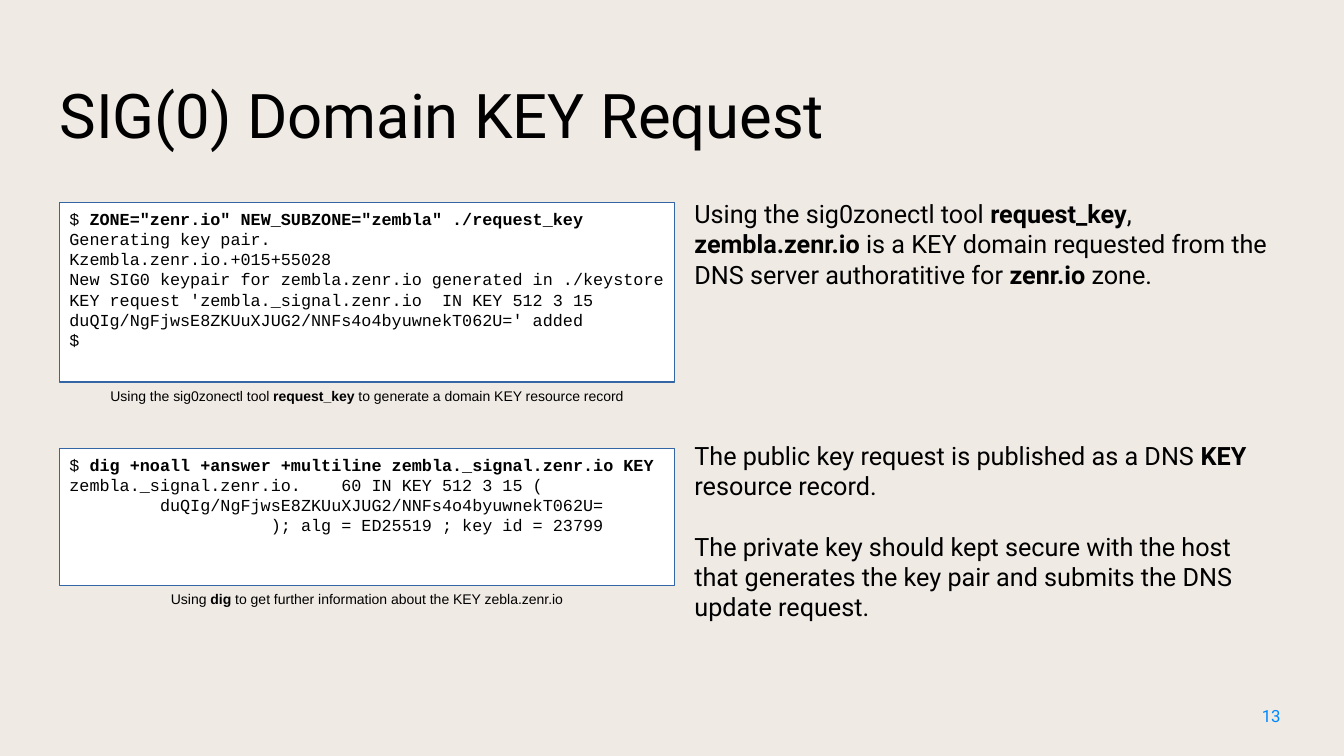
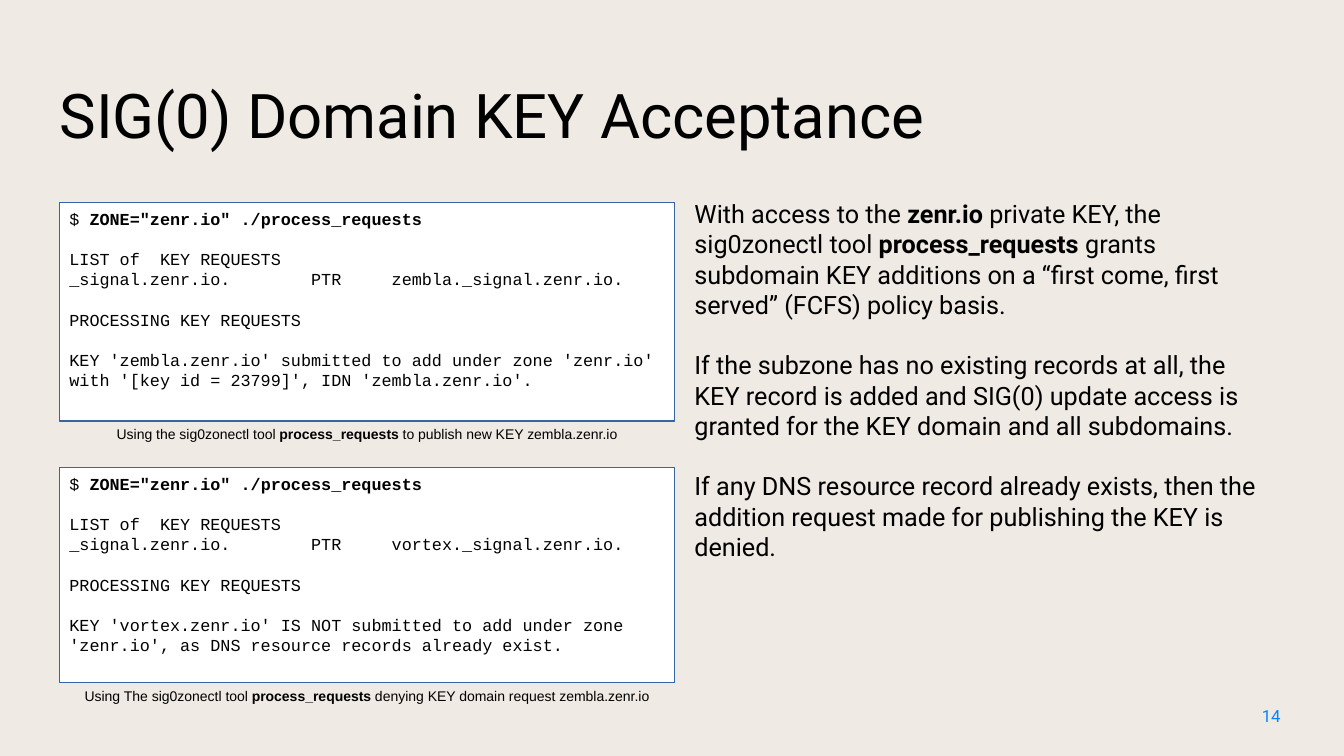
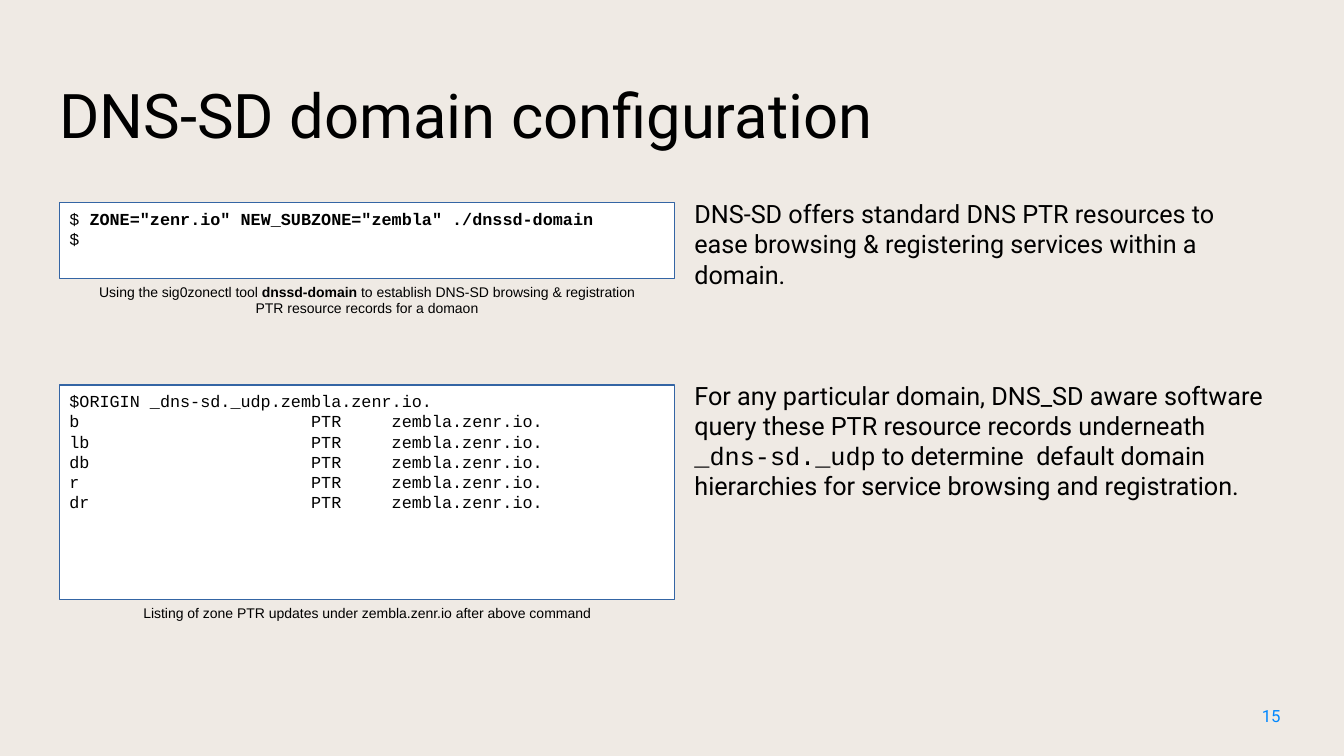
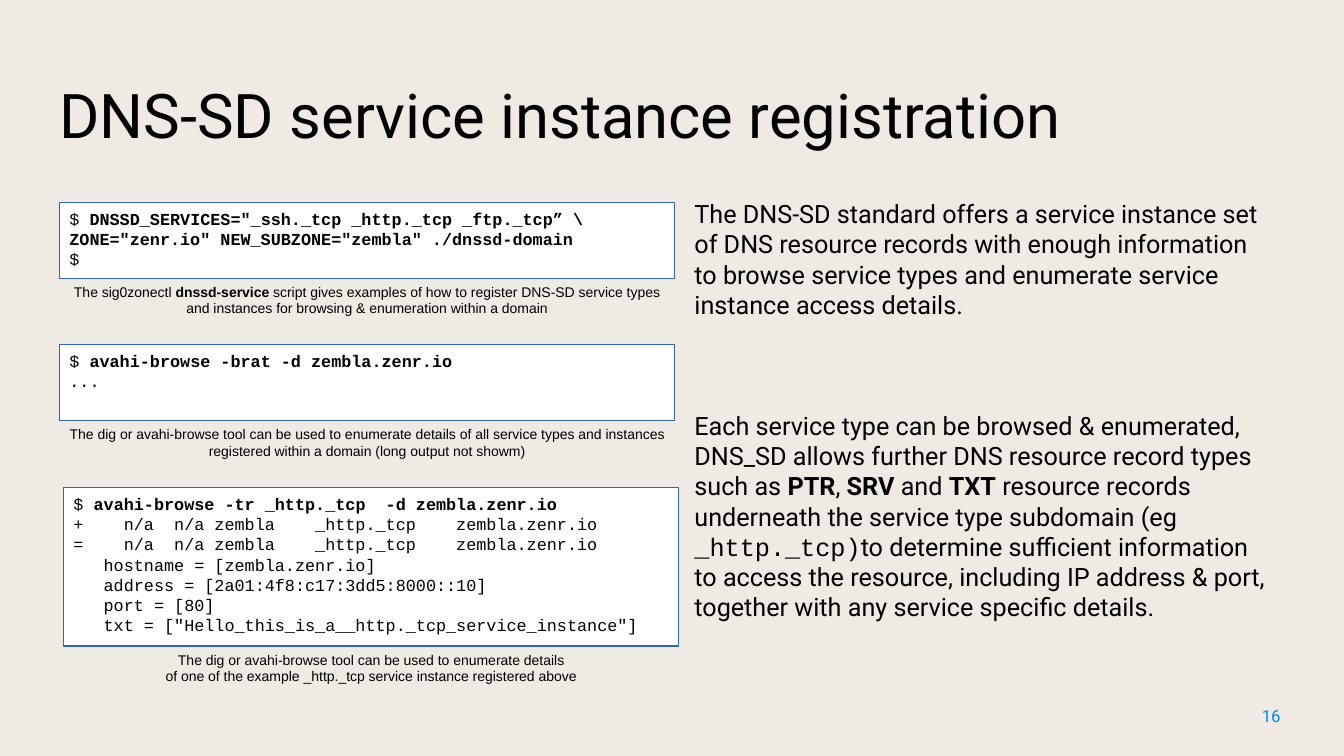
import pptx
import pptx.util
import pptx.dml.color
import pptx.enum.shapes
import pptx.enum.text
import lxml.etree

Pt = pptx.util.Pt
RGB = pptx.dml.color.RGBColor
ALIGN = pptx.enum.text.PP_ALIGN
ANCHOR = pptx.enum.text.MSO_ANCHOR

SAND = RGB(0xEF, 0xEA, 0xE4)
WHITE = RGB(0xFF, 0xFF, 0xFF)
BLACK = RGB(0, 0, 0)
BLUE = RGB(0x34, 0x65, 0xA4)
AZURE = RGB(0x00, 0x87, 0xFF)
MONO = "Courier New"

HEAD = {"name": "Roboto", "size": Pt(44), "color": BLACK}
BODY = {"name": "Roboto", "size": Pt(18), "color": BLACK}
CODE = {"name": MONO, "size": Pt(12), "color": BLACK}
NOTE = {"name": "Arial", "size": Pt(10), "color": BLACK}
PAGE = {"name": "Roboto", "size": Pt(12), "color": AZURE}

HEAD_BOX = (42.5, 28.8, 851, 104.4)
BODY_BOX = (496, 141.8, 412, 338.4)
PAGE_BOX = (894.2, 500.4, 44.6, 28.8)
LEFT, WIDE = 42.5, 439.2
FIRST = 13

SLIDES = [
    {
        "title": "SIG(0) Domain KEY Request",
        "body": "Using the sig0zonectl tool *request_key*, *zembla.zenr.io* is a KEY domain "
                "requested from the DNS server authoratitive for *zenr.io* zone."
                + "\n" * 6 +
                "The public key request is published as a DNS *KEY* resource record.\n\n"
                "The private key should kept secure with the host that generates the key pair "
                "and submits the DNS update request.",
        "panels": [
            (LEFT, 144.7, 128.2, """$ *ZONE="zenr.io" NEW_SUBZONE="zembla" ./request_key*
Generating key pair.
Kzembla.zenr.io.+015+55028
New SIG0 keypair for zembla.zenr.io generated in ./keystore
KEY request 'zembla._signal.zenr.io  IN KEY 512 3 15 duQIg/NgFjwsE8ZKUuXJUG2/NNFs4o4byuwnekT062U=' added
$""", "Using the sig0zonectl tool *request_key* to generate a domain KEY resource record"),
            (LEFT, 320.4, 98, """$ *dig +noall +answer +multiline zembla._signal.zenr.io KEY*
zembla._signal.zenr.io.    60 IN KEY 512 3 15 (
         duQIg/NgFjwsE8ZKUuXJUG2/NNFs4o4byuwnekT062U=
                    ); alg = ED25519 ; key id = 23799""",
             "Using *dig* to get further information about the KEY zebla.zenr.io"),
        ],
    },
    {
        "title": "SIG(0) Domain KEY Acceptance",
        "body": "With access to the *zenr.io* private KEY, the sig0zonectl tool "
                "*process_requests* grants subdomain KEY additions on a “first come, first "
                "served” (FCFS) policy basis.\n\n"
                "If the subzone has no existing records at all, the KEY record is added and "
                "SIG(0) update access is granted for the KEY domain and all subdomains.\n\n"
                "If any DNS resource record already exists, then the addition request made "
                "for publishing the KEY is denied.",
        "panels": [
            (LEFT, 144.7, 156, """$ *ZONE="zenr.io" ./process_requests*

LIST of  KEY REQUESTS
_signal.zenr.io.        PTR     zembla._signal.zenr.io.

PROCESSING KEY REQUESTS

KEY 'zembla.zenr.io' submitted to add under zone 'zenr.io' with '[key id = 23799]', IDN 'zembla.zenr.io'.""",
             "Using the sig0zonectl tool *process_requests* to publish new KEY zembla.zenr.io"),
            (LEFT, 334.1, 153.4, """$ *ZONE="zenr.io" ./process_requests*

LIST of  KEY REQUESTS
_signal.zenr.io.        PTR     vortex._signal.zenr.io.

PROCESSING KEY REQUESTS

KEY 'vortex.zenr.io' IS NOT submitted to add under zone 'zenr.io', as DNS resource records already exist.""",
             "Using The sig0zonectl tool *process_requests* denying KEY domain request zembla.zenr.io"),
        ],
    },
    {
        "title": "DNS-SD domain configuration",
        "body": "DNS-SD offers standard DNS PTR resources to ease browsing & registering "
                "services within a domain."
                + "\n" * 4 +
                "For any particular domain, DNS_SD aware software query these PTR resource "
                "records underneath `_dns-sd._udp` to determine  default domain hierarchies "
                "for service browsing and registration.",
        "panels": [
            (LEFT, 144.7, 54, """$ *ZONE="zenr.io" NEW_SUBZONE="zembla" ./dnssd-domain*
$""", "Using the sig0zonectl tool *dnssd-domain* to establish DNS-SD browsing & registration\v"
             "PTR resource records for a domaon"),
            (LEFT, 275, 153.4, """$ORIGIN _dns-sd._udp.zembla.zenr.io.
b                       PTR     zembla.zenr.io.
lb                      PTR     zembla.zenr.io.
db                      PTR     zembla.zenr.io.
r                       PTR     zembla.zenr.io.
dr                      PTR     zembla.zenr.io.""",
             "Listing of zone PTR updates under zembla.zenr.io after above command"),
        ],
    },
    {
        "title": "DNS-SD service instance registration",
        "body": "The DNS-SD standard offers a service instance set of DNS resource records "
                "with enough information to browse service types and enumerate service "
                "instance access details."
                + "\n" * 4 +
                "Each service type can be browsed & enumerated, DNS_SD allows further DNS "
                "resource record types such as *PTR*, *SRV* and *TXT* resource records "
                "underneath the service type subdomain (eg `_http._tcp)`to determine "
                "sufficient information to access the resource, including IP address & port, "
                "together with any service specific details.",
        "panels": [
            (LEFT, 144.7, 54, """$ *DNSSD_SERVICES="_ssh._tcp _http._tcp _ftp._tcp” \\*
*ZONE="zenr.io" NEW_SUBZONE="zembla" ./dnssd-domain*
$""", "The sig0zonectl *dnssd-service* script gives examples of how to register DNS-SD service "
             "types and instances for browsing & enumeration within a domain"),
            (LEFT, 246.2, 54, """$ *avahi-browse -brat -d zembla.zenr.io*
...""", "The dig or avahi-browse tool can be used to enumerate details of all service types and "
             "instances registered within a domain (long output not showm)"),
            (LEFT + 2.9, 348.5, 113, """$ *avahi-browse -tr _http._tcp  -d zembla.zenr.io*
+    n/a  n/a zembla    _http._tcp    zembla.zenr.io
=    n/a  n/a zembla    _http._tcp    zembla.zenr.io
   hostname = [zembla.zenr.io]
   address = [2a01:4f8:c17:3dd5:8000::10]
   port = [80]
   txt = ["Hello_this_is_a__http._tcp_service_instance"]""",
             "The dig or avahi-browse tool can be used to enumerate details\v"
             "of one of the example _http._tcp service instance registered above"),
        ],
    },
]


def style(font, form):
    for key, val in form.items():
        if key == "color":
            font.color.rgb = val
        else:
            setattr(font, key, val)


def add_runs(para, text, form):
    for row, line in enumerate(text.split("\v")):
        if row:
            para.add_line_break()
        for odd, part in enumerate(line.split("*")):
            for mono, bit in enumerate(part.split("`")):
                if bit:
                    run = para.add_run()
                    run.text = bit
                    face = {"name": MONO} if mono % 2 else {}
                    style(run.font, {**form, **face, "bold": odd % 2 == 1})


def write(shape, text, form, pad=(0, 0), align=ALIGN.LEFT, anchor=ANCHOR.TOP, plain=False):
    frame = shape.text_frame
    side, edge = Pt(pad[0]), Pt(pad[1])
    look = {"word_wrap": True, "auto_size": pptx.enum.text.MSO_AUTO_SIZE.NONE,
            "vertical_anchor": anchor, "margin_left": side, "margin_right": side,
            "margin_top": edge, "margin_bottom": edge}
    for key, val in look.items():
        setattr(frame, key, val)
    gap, para = 0, None
    for line in text.split("\n"):
        if not line:
            gap += 1
            continue
        para = frame.add_paragraph() if para else frame.paragraphs[0]
        para.alignment = align
        para.space_before = int(form["size"] * 1.2 * gap)
        gap = 0
        if plain:
            prop = para._p.get_or_add_pPr()
            prop.set("marL", "0")
            prop.set("indent", "0")
            lxml.etree.SubElement(prop, pptx.oxml.ns.qn("a:buNone"))
        add_runs(para, line, form)


def place(shape, box):
    for key, val in zip(("left", "top", "width", "height"), box):
        setattr(shape, key, Pt(val))


def add_label(slide, box, text, form, align=ALIGN.LEFT):
    label = slide.shapes.add_textbox(*map(Pt, box))
    write(label, text, form, (7.2, 3.6), align)


def add_panel(slide, left, top, high, code, note):
    kind = pptx.enum.shapes.MSO_SHAPE.RECTANGLE
    box = slide.shapes.add_shape(kind, Pt(left), Pt(top), Pt(WIDE), Pt(high))
    box.shadow.inherit = False
    box.fill.solid()
    box.fill.fore_color.rgb = WHITE
    box.line.color.rgb = BLUE
    box.line.width = Pt(0.85)
    write(box, code, CODE, (7.2, 4.3))
    add_label(slide, (left, top + high, WIDE, 29.5), note, NOTE, ALIGN.CENTER)


def set_layout(layout):
    layout.background.fill.solid()
    layout.background.fill.fore_color.rgb = SAND
    place(layout.placeholders[0], HEAD_BOX)
    place(layout.placeholders[1], BODY_BOX)


def add_slide(deck, layout, page, data):
    slide = deck.slides.add_slide(layout)
    write(slide.shapes.title, data["title"], HEAD, anchor=ANCHOR.MIDDLE)
    write(slide.placeholders[1], data["body"], BODY, plain=True)
    add_label(slide, PAGE_BOX, str(page), PAGE)
    for panel in data["panels"]:
        add_panel(slide, *panel)


def main():
    deck = pptx.Presentation()
    deck.slide_width, deck.slide_height = Pt(960), Pt(540)
    layout = deck.slide_layouts[1]
    set_layout(layout)
    for page, data in enumerate(SLIDES, FIRST):
        add_slide(deck, layout, page, data)
    deck.save("out.pptx")


if __name__ == "__main__":
    main()
